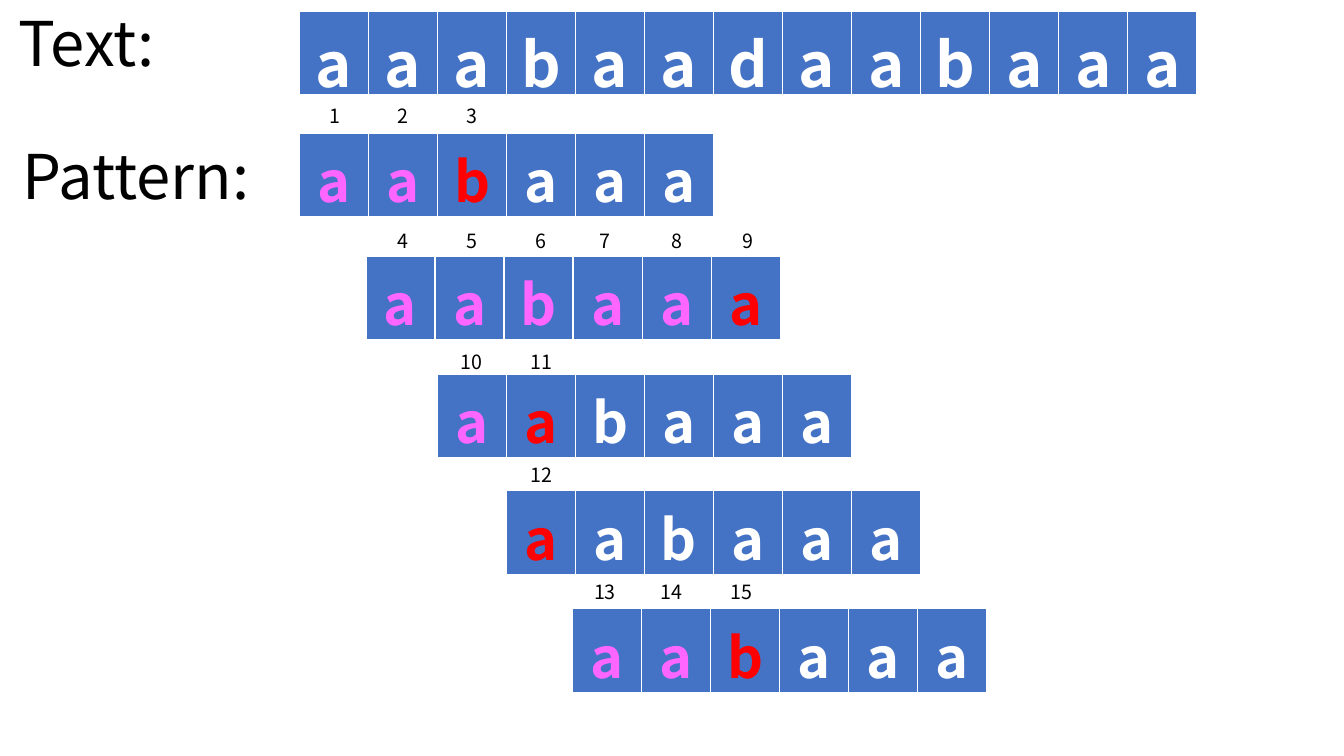
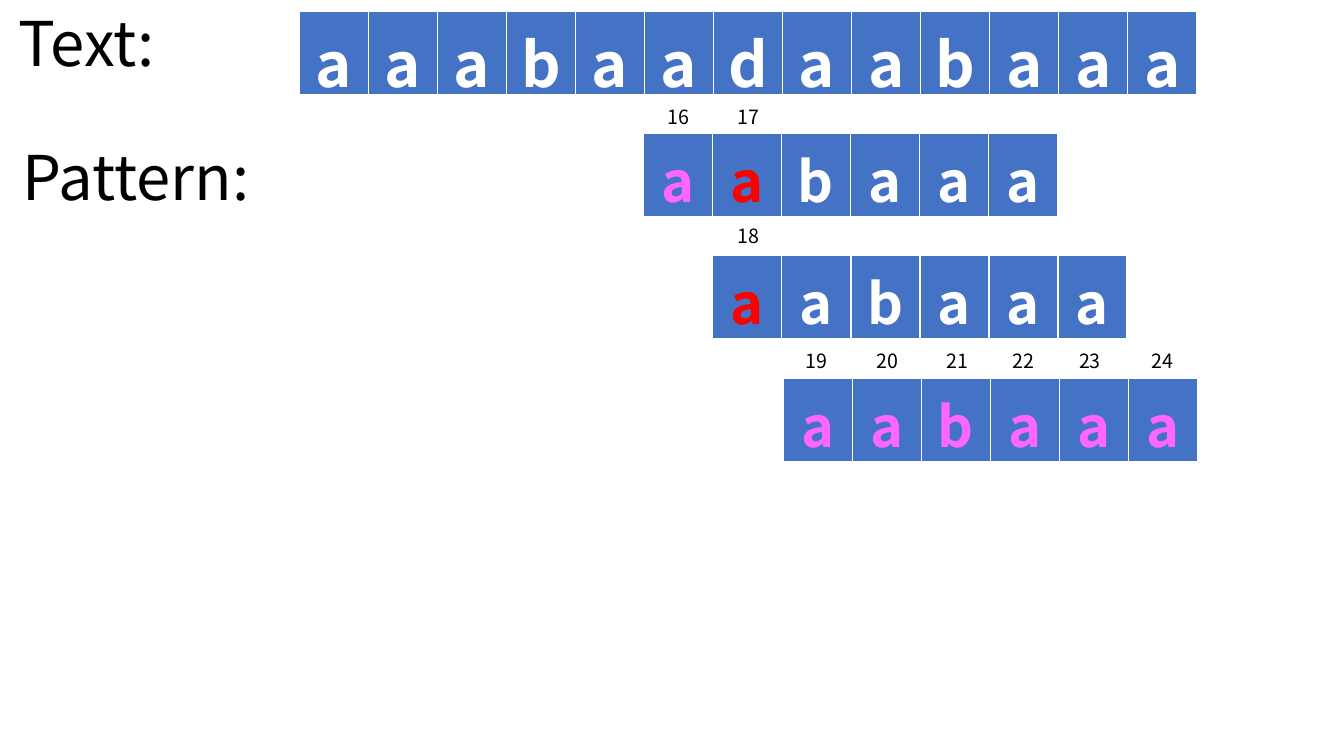
from pptx import Presentation
from pptx.dml.color import RGBColor
from pptx.enum.text import MSO_ANCHOR, MSO_AUTO_SIZE, PP_ALIGN
from pptx.util import Inches, Pt

BLUE = RGBColor(0x44, 0x72, 0xC4)
WHITE = RGBColor(0xFF, 0xFF, 0xFF)
BLACK = RGBColor(0x00, 0x00, 0x00)
PINK = RGBColor(0xFF, 0x66, 0xFF)
RED = RGBColor(0xFF, 0x00, 0x00)

FONT = "Noto Sans CJK KR"
TEXT = "aaabaadaabaaa"
PATTERN = "aabaaa"
CELL = 0.685
ROW_HEIGHT = 0.83
STATES = {"+": PINK, "x": RED, ".": WHITE}

SLIDES = [
    (1.32, [
        (2.97, 1.32, "++x...", 0.98, [3.32, 4, 4.68]),
        (3.63, 2.54, "+++++x", 2.22, [4, 4.68, 5.37, 6, 6.71, 7.42]),
        (4.34, 3.71, "+x....", 3.42, [4.68, 5.37]),
        (5.02, 4.87, "x.....", 4.54, [5.37]),
        (5.68, 6.04, "++x...", 5.7, [6, 6.66, 7.35]),
    ]),
    (1.33, [
        (6.38, 1.32, "+x....", 0.99, [6.73, 7.42]),
        (7.07, 2.53, "x.....", 2.17, [7.42]),
        (7.77, 3.75, "++++++", 3.41, [8.1, 8.8, 9.5, 10.15, 10.81, 11.53]),
    ]),
]


def add_label(s, text, left, top, width, height, size):
    sp = s.shapes.add_textbox(Inches(left), Inches(top), Inches(width), Inches(height))
    tf = sp.text_frame
    tf.word_wrap = True
    tf.auto_size = MSO_AUTO_SIZE.SHAPE_TO_FIT_TEXT
    p = tf.paragraphs[0]
    p.alignment = PP_ALIGN.CENTER
    r = p.add_run()
    r.text = text
    for name, value in {"name": FONT, "size": Pt(size)}.items():
        setattr(r.font, name, value)
    r.font.color.rgb = BLACK


def add_letters(s, letters, colors, left, top, size, row_height, anchor):
    frame = s.shapes.add_table(1, len(letters), Inches(left), Inches(top),
                               Inches(CELL * len(letters)), Inches(ROW_HEIGHT))
    table = frame.table
    table.rows[0].height = Inches(row_height)
    frame.height = Inches(ROW_HEIGHT)
    for cell, letter, color in zip(table.rows[0].cells, letters, colors):
        cell.fill.solid()
        cell.fill.fore_color.rgb = BLUE
        cell.vertical_anchor = anchor
        p = cell.text_frame.paragraphs[0]
        p.alignment = PP_ALIGN.CENTER
        r = p.add_run()
        r.text = letter
        for name, value in {"name": FONT, "size": Pt(size), "bold": True}.items():
            setattr(r.font, name, value)
        r.font.color.rgb = color


prs = Presentation()
prs.slide_width = Inches(13.33)
prs.slide_height = Inches(7.5)

number = 0
for pattern_top, rows in SLIDES:
    s = prs.slides.add_slide(prs.slide_layouts[6])
    add_label(s, "Text:", -0.26, 0, 2.24, 0.84, 44)
    add_label(s, "Pattern:", 0, pattern_top, 2.7, 0.84, 44)
    add_letters(s, TEXT, [WHITE] * len(TEXT), 2.97, 0.11, 44, 0.41, MSO_ANCHOR.MIDDLE)
    for left, top, states, number_top, centers in rows:
        colors = [STATES[state] for state in states]
        add_letters(s, PATTERN, colors, left, top, 40, ROW_HEIGHT, MSO_ANCHOR.TOP)
        for center in centers:
            number += 1
            width = 0.38 if number < 10 else 0.51
            add_label(s, str(number), center - width / 2, number_top, width, 0.34, 14)

prs.save("out.pptx")
